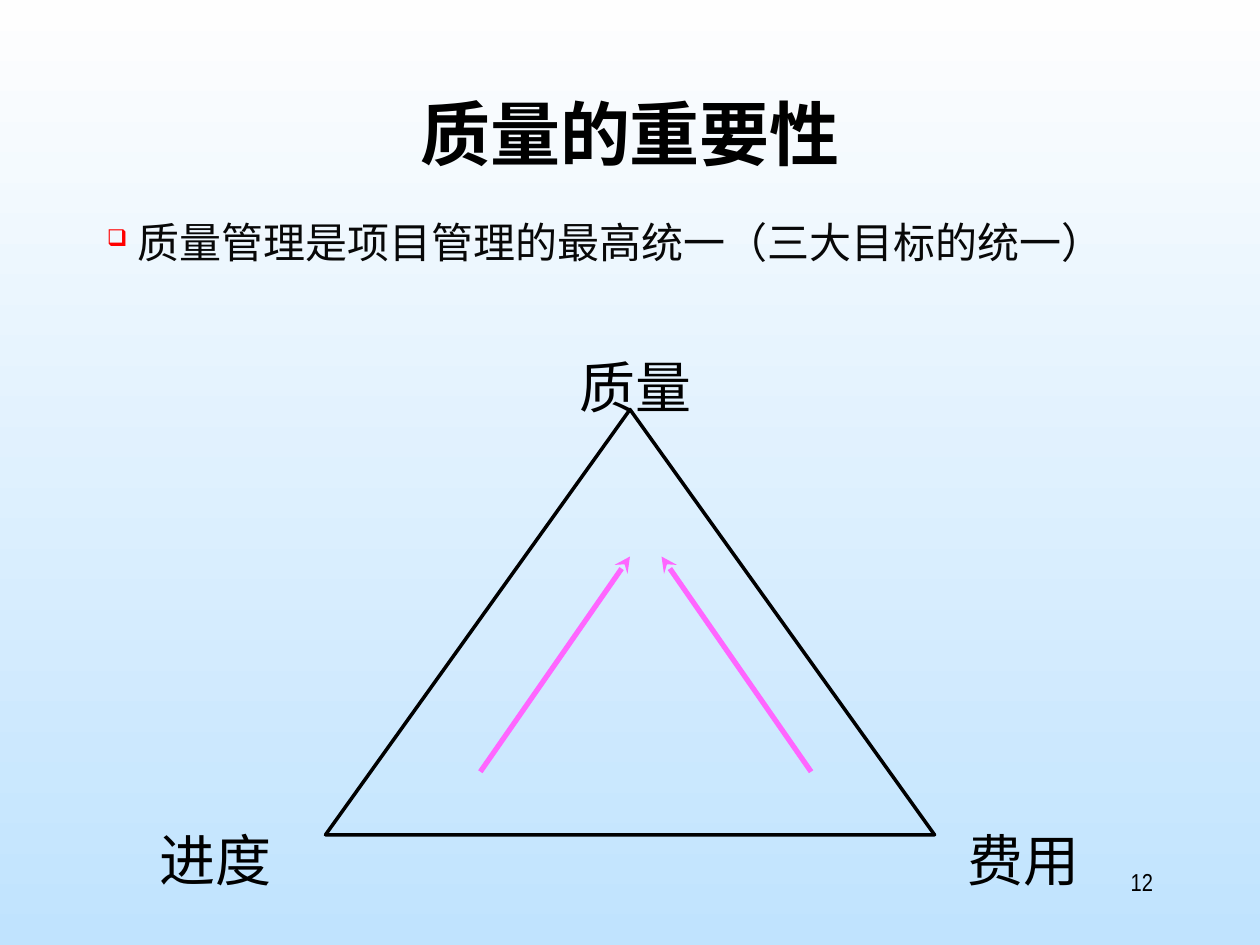
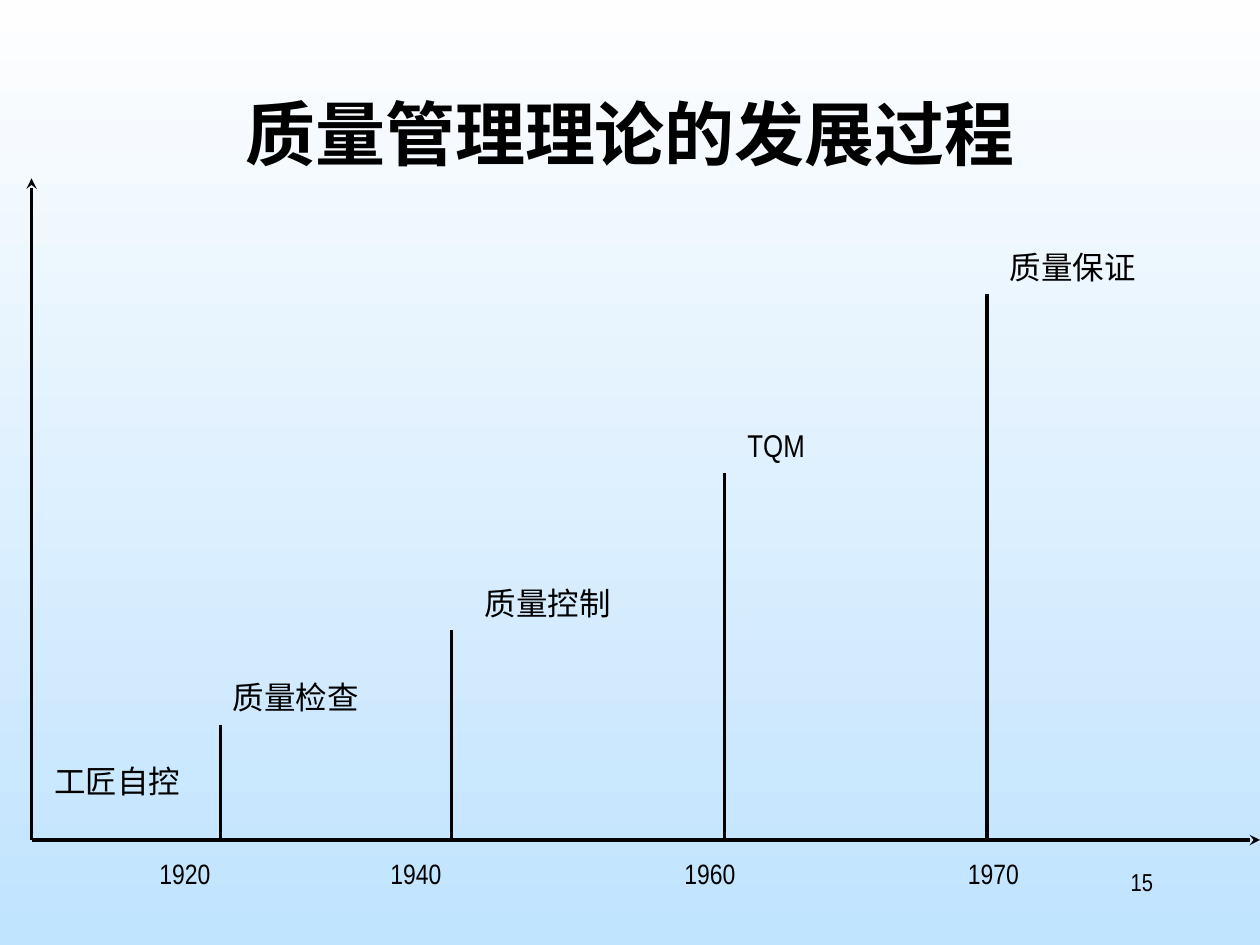
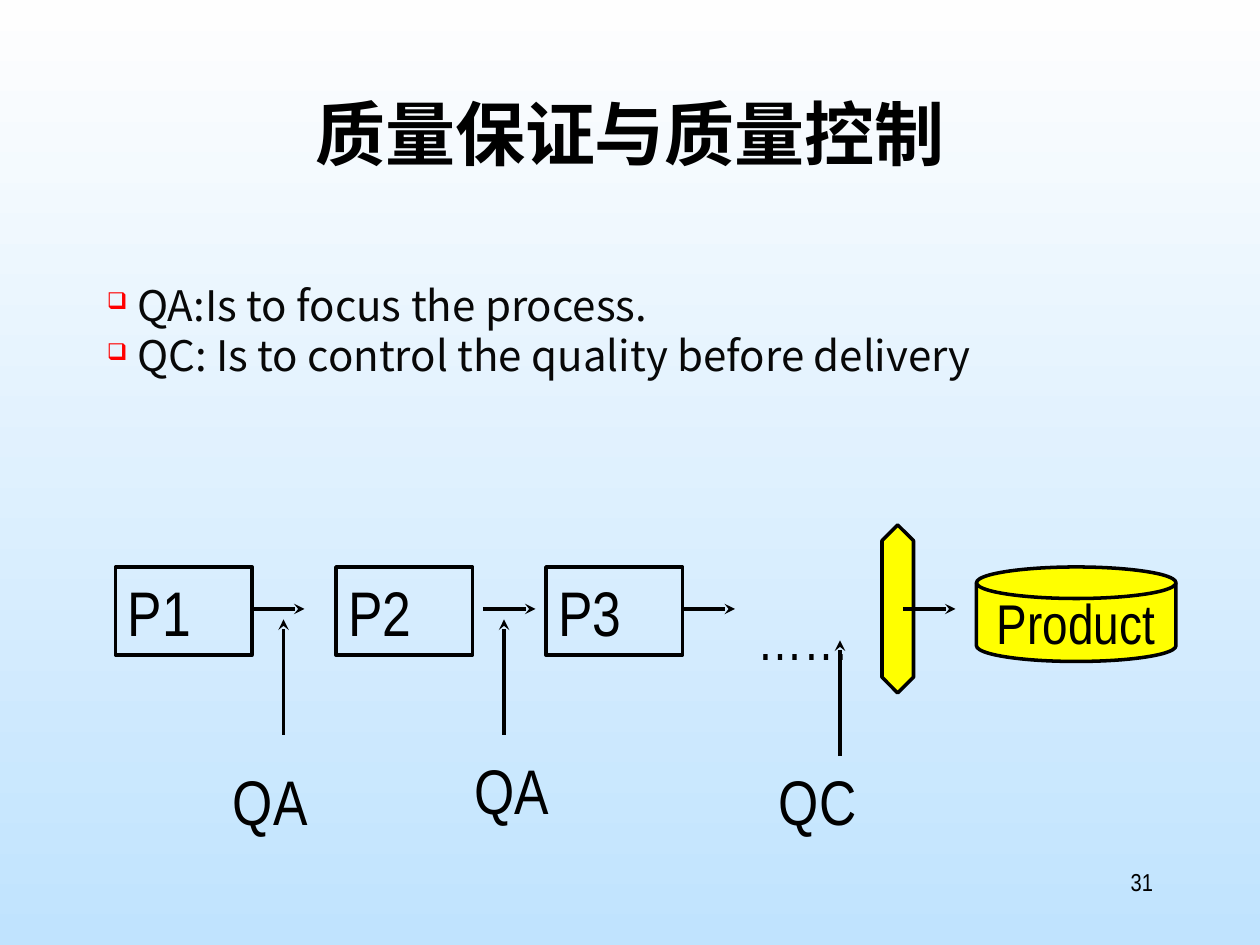
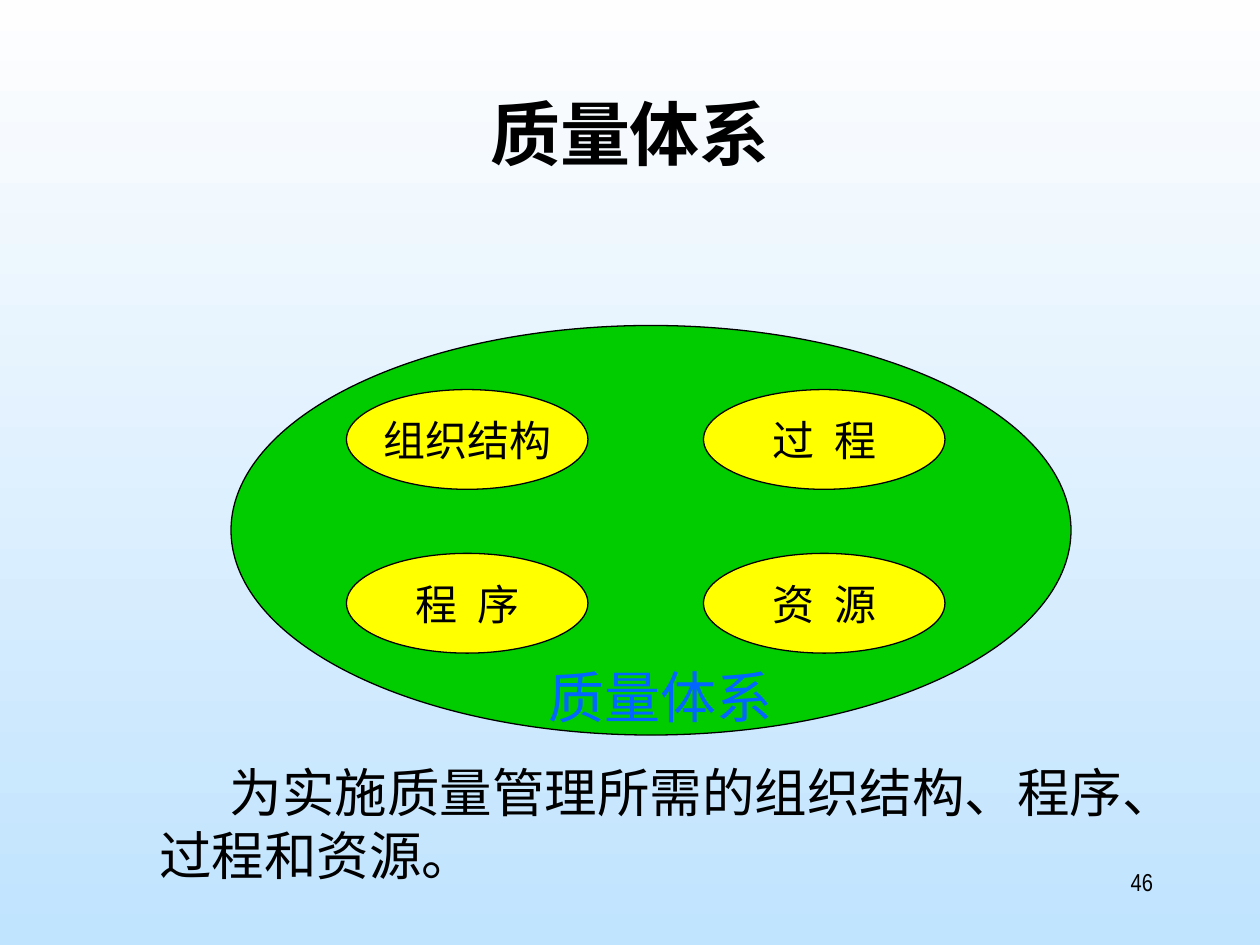
from pptx import Presentation
from pptx.dml.color import RGBColor
from pptx.enum.shapes import MSO_CONNECTOR, MSO_SHAPE
from pptx.enum.text import MSO_ANCHOR, MSO_AUTO_SIZE, PP_ALIGN
from pptx.oxml.ns import qn
from pptx.util import Inches, Pt
from lxml import etree

STRAIGHT = MSO_CONNECTOR.STRAIGHT
RECT, OVAL, TRIANGLE = MSO_SHAPE.RECTANGLE, MSO_SHAPE.OVAL, MSO_SHAPE.ISOSCELES_TRIANGLE
UP_DOWN, DISK = MSO_SHAPE.UP_DOWN_ARROW, MSO_SHAPE.FLOWCHART_MAGNETIC_DISK
TOP, MIDDLE = MSO_ANCHOR.TOP, MSO_ANCHOR.MIDDLE
GROW, FIXED = MSO_AUTO_SIZE.SHAPE_TO_FIT_TEXT, MSO_AUTO_SIZE.NONE
LEFT, CENTER, RIGHT = PP_ALIGN.LEFT, PP_ALIGN.CENTER, PP_ALIGN.RIGHT

THEME = {
    "sky_top": "FEFEFE", "sky_bottom": "C0E3FE",
    "ink": "000000", "body_ink": "080808", "bullet": "FF0000",
    "pink": "FF66FF", "yellow": "FFFF00", "green": "00CC00", "blue": "0066FF",
    "narrow": "Arial Narrow", "han": "Noto Sans CJK SC", "round": "Cabin",
    "title": 40, "step": 36, "label": 32, "statement": 30, "body": 24,
    "era": 18, "year": 16, "number": 14,
    "rule": 2, "arrow": 3, "hairline": 0.75,
}

# The page is a grid of 120 columns by 90 rows
COLUMNS, ROWS = 120, 90
prs = Presentation()
prs.slide_width, prs.slide_height = Inches(10), Inches(7.5)
COLUMN, ROW = prs.slide_width / COLUMNS, prs.slide_height / ROWS


def put(slide, box, lines=(), preset=None, fill=None, outline=THEME["rule"],
        size=THEME["label"], font=THEME["narrow"], color=THEME["ink"], bold=False,
        align=LEFT, anchor=TOP, wrap=True, fit=GROW, inset=0.05,
        bullet=False, first_indent=0, spacing=0):
    """Place a text box, or a preset shape with text, in grid units."""
    left, top, width, height = box
    place = [round(v) for v in (left * COLUMN, top * ROW, width * COLUMN, height * ROW)]
    if preset is None:
        item = slide.shapes.add_textbox(*place)
    else:
        item = slide.shapes.add_shape(preset, *place)
        item.shadow.inherit = False
        if fill:
            item.fill.solid()
            item.fill.fore_color.rgb = RGBColor.from_string(fill)
        else:
            item.fill.background()
        item.line.color.rgb = RGBColor.from_string(THEME["ink"])
        item.line.width = Pt(outline)
    frame = item.text_frame
    frame_format = {"word_wrap": wrap, "auto_size": fit, "vertical_anchor": anchor,
                    "margin_top": Inches(inset), "margin_bottom": Inches(inset)}
    for key, value in frame_format.items():
        setattr(frame, key, value)
    for index, line in enumerate(lines):
        paragraph = frame.paragraphs[0] if index == 0 else frame.add_paragraph()
        paragraph.alignment = align
        p_format = paragraph._p.get_or_add_pPr()
        if bullet:
            p_format.set("marL", str(Inches(0.24)))
            p_format.set("indent", str(-Inches(0.24)))
            tint = etree.SubElement(p_format, qn("a:buClr"))
            etree.SubElement(tint, qn("a:srgbClr"), val=THEME["bullet"])
            etree.SubElement(p_format, qn("a:buSzPct"), val="55000")
            etree.SubElement(p_format, qn("a:buChar"), char="❑")
        elif first_indent and index == 0:
            p_format.set("indent", str(Inches(first_indent)))
        run = paragraph.add_run()
        run.text = line
        for key, value in {"size": Pt(size), "bold": bold, "name": font}.items():
            setattr(run.font, key, value)
        run.font.color.rgb = RGBColor.from_string(color)
        r_format = run._r.get_or_add_rPr()
        etree.SubElement(r_format, qn("a:ea"), typeface=THEME["han"])
        if spacing:
            r_format.set("spc", str(spacing * 100))
    return item


def draw_line(slide, start, end, color=THEME["ink"], width=THEME["rule"], arrow=True):
    """Draw a straight line between two grid points."""
    (x1, y1), (x2, y2) = start, end
    line = slide.shapes.add_connector(STRAIGHT, round(x1 * COLUMN), round(y1 * ROW),
                                      round(x2 * COLUMN), round(y2 * ROW))
    line.line.color.rgb = RGBColor.from_string(color)
    line.line.width = Pt(width)
    if arrow:
        etree.SubElement(line.line._get_or_add_ln(), qn("a:tailEnd"), type="stealth")
    etree.SubElement(line._element.spPr, qn("a:effectLst"))


# Shared background, set once on the master
sky = prs.slide_master.background.fill
sky.gradient()
sky.gradient_angle = 270
for stop, shade in zip(sky.gradient_stops, ("sky_top", "sky_bottom")):
    stop.color.rgb = RGBColor.from_string(THEME[shade])

# Slides with their titles and page numbers
pages = []
for title, number, title_font in (
    ("质量的重要性", 12, "han"),
    ("质量管理理论的发展过程", 15, "narrow"),
    ("质量保证与质量控制", 31, "han"),
    ("质量体系", 46, "han"),
):
    page = prs.slides.add_slide(prs.slide_layouts[6])
    put(page, (9, 8, 102, 15), [title], size=THEME["title"], font=THEME[title_font],
        bold=True, align=CENTER, fit=FIXED)
    put(page, (86, 82, 25, 6), [str(number)], size=THEME["number"], align=RIGHT, fit=FIXED)
    pages.append(page)
importance, history, assurance, system = pages

# Importance: three goals at the corners of a triangle
put(importance, (9, 20, 102, 9), ["质量管理是项目管理的最高统一（三大目标的统一）"],
    size=THEME["body"], color=THEME["body_ink"], bullet=True, fit=FIXED)
put(importance, (31, 39, 58, 40.5), preset=TRIANGLE)
for goal, left, top in (("质量", 54, 33), ("进度", 14, 78), ("费用", 91, 78)):
    put(importance, (left, top, 15, 7.7), [goal])
for foot, tip in ((45.75, 60), (77.25, 63)):
    draw_line(importance, (foot, 73.5), (tip, 53), THEME["pink"], THEME["arrow"])

# History: axes, then a stem, a label and a year for each era
BASE = 80
draw_line(history, (3, BASE), (COLUMNS, BASE))
draw_line(history, (3, BASE), (3, 17))
put(history, (4, 72, 15, 4.8), ["工匠自控"], size=THEME["era"])
for era, year, stem, stem_top, era_left, year_left in (
    ("质量检查", "1920", 21, 69, 21, 14),
    ("质量控制", "1940", 43, 60, 45, 36),
    ("TQM", "1960", 69, 45, 70, 64),
    ("质量保证", "1970", 94, 28, 95, 91),
):
    draw_line(history, (stem, BASE), (stem, stem_top), arrow=False)
    put(history, (era_left, stem_top - 5, 15, 4.8), [era], size=THEME["era"])
    put(history, (year_left, BASE + 1, 16, 4.4), [year], size=THEME["year"])

# Assurance: two definitions above a process chain
put(assurance, (9, 26, 102, 13),
    ["QA:Is to focus the process.", "QC: Is to control the quality before delivery"],
    size=THEME["body"], font=THEME["han"], color=THEME["body_ink"], bullet=True, fit=FIXED)
for process, left in (("P1", 11), ("P2", 32), ("P3", 52)):
    put(assurance, (left, 54, 13, 8.4), [process], preset=RECT, size=THEME["step"])
put(assurance, (71, 57, 13, 7.7), ["……"])
gate = put(assurance, (84, 50, 3, 16), preset=UP_DOWN, fill=THEME["yellow"])
gate.adjustments[1] = 1.06
put(assurance, (93, 54, 19, 9), ["Product"], preset=DISK, fill=THEME["yellow"],
    align=CENTER, anchor=MIDDLE, wrap=False, fit=FIXED)
for flow in (24, 46, 65, 86):
    draw_line(assurance, (flow, 58), (flow + 5, 58))

# Checks that point up into the chain
for check, left, top, arrow_x, arrow_foot in (
    ("QA", 21, 72, 27, 70), ("QA", 44, 71, 48, 70), ("QC", 73, 72, 80, 72),
):
    put(assurance, (left, top, 16, 8.4), [check], size=THEME["step"])
    draw_line(assurance, (arrow_x, arrow_foot), (arrow_x, arrow_foot - 11))

# System: four parts inside one ellipse, and its definition
put(system, (22, 31, 80, 39), preset=OVAL, fill=THEME["green"], outline=THEME["hairline"])
for index, (part, spacing) in enumerate(
        (("组织结构", 0), ("过 程", 3), ("程 序", 3), ("资 源", 3))):
    row, column = divmod(index, 2)
    put(system, (33 + 34 * column, 37.1 + 15.6 * row, 23, 9.5), [part], preset=OVAL,
        fill=THEME["yellow"], outline=THEME["hairline"], size=THEME["body"],
        font=THEME["round"], align=CENTER, anchor=MIDDLE, wrap=False, fit=FIXED,
        inset=0, spacing=spacing)
put(system, (51, 63.1, 23.8, 6.4), ["质量体系"], font=THEME["round"], color=THEME["blue"],
    align=CENTER, anchor=MIDDLE, wrap=False, inset=0)
put(system, (14, 71.8, 100, 13.2),
    ["为实施质量管理所需的组织结构、程序、", "过程和资源。"],
    size=THEME["statement"], font=THEME["round"], anchor=MIDDLE, inset=0, first_indent=0.56)

prs.save("out.pptx")
